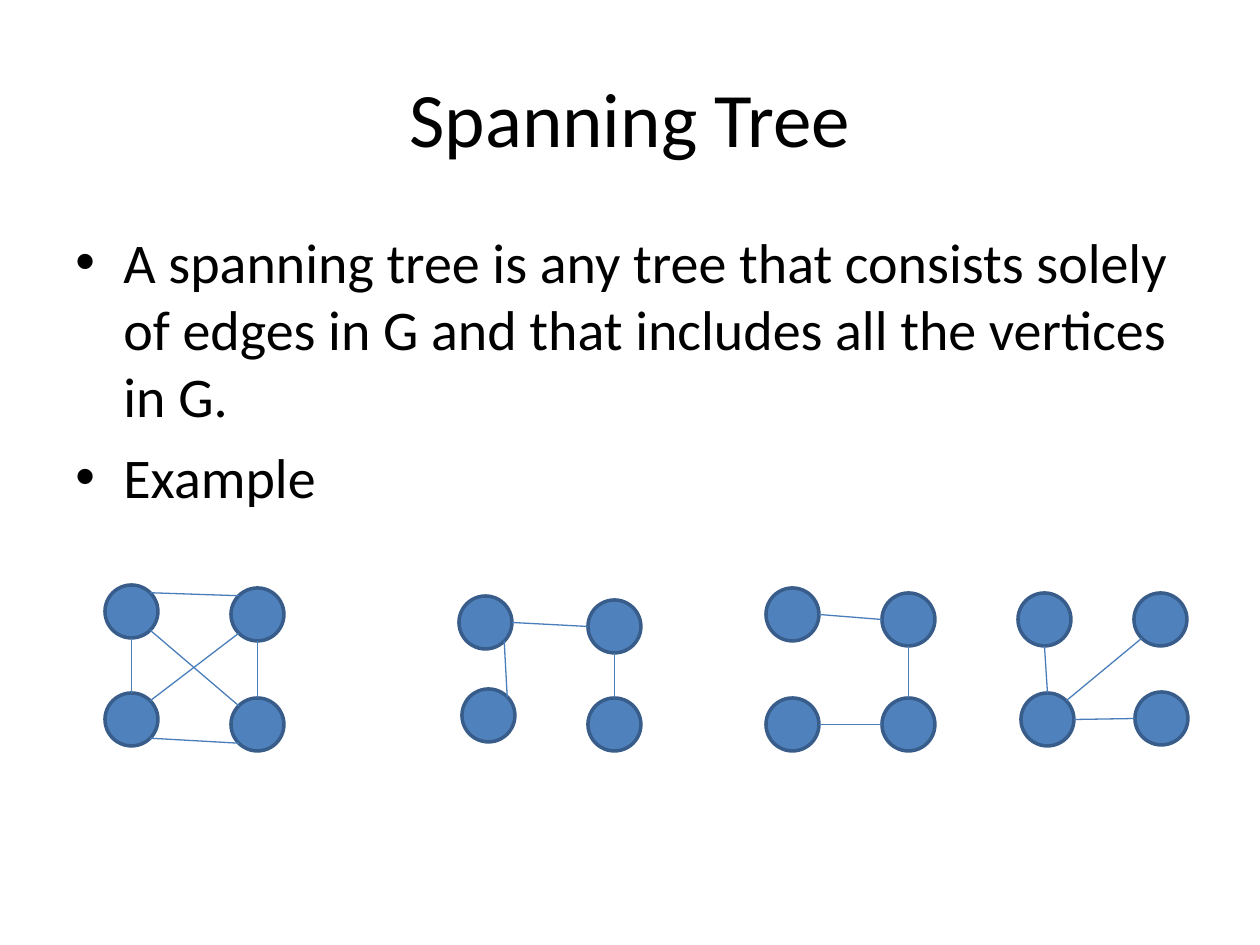
from lxml.etree import SubElement
from pptx import Presentation
from pptx.dml.color import RGBColor
from pptx.enum.shapes import MSO_CONNECTOR as Conn, MSO_SHAPE as Shape
from pptx.enum.text import MSO_ANCHOR as Anchor, PP_ALIGN as Align
from pptx.oxml.ns import qn
from pptx.util import Emu, Pt

TITLE = "Spanning Tree"
POINTS = [
    "A spanning tree is any tree that consists solely of edges in G "
    "and that includes all the vertices in G.",
    "Example",
]
GRAPHS = [
    {
        "nodes": {"a": (105, 585), "b": (231, 588), "c": (105, 693), "d": (231, 698)},
        "edges": ["a s c n", "a ne b nw", "b s d n", "c se d sw", "b sw c ne", "a se d nw"],
    },
    {
        "nodes": {"a": (459, 596), "b": (588, 600), "c": (462, 689), "d": (588, 698)},
        "edges": ["a se c ne", "a e b w", "b s d n"],
    },
    {
        "nodes": {"a": (766, 588), "b": (882, 593), "c": (766, 698), "d": (882, 698)},
        "edges": ["a e b w", "b s d n", "d w c e"],
    },
    {
        "nodes": {"a": (1018, 593), "b": (1134, 593), "c": (1021, 693), "d": (1135, 692)},
        "edges": ["a s c n", "c ne b sw", "c e d w"],
    },
]
COLORS = {"text": "000000", "node": "4F81BD", "rim": "385D8A", "edge": "4A7EBB"}
FONT = "Calibri"
SIZE = 53
DIRS = {"n": (0, -1), "s": (0, 1), "e": (1, 0), "w": (-1, 0)}


def px(num):
    return Emu(round(num * 914400 / 126))


def tint(name):
    return RGBColor.from_string(COLORS[name])


def place(shape, left, top, width, height):
    shape.left, shape.top = px(left), px(top)
    shape.width, shape.height = px(width), px(height)


def write(para, text, size):
    run = para.add_run()
    run.text = text
    run.font.name = FONT
    run.font.size = Pt(size)
    run.font.color.rgb = tint("text")


def bullet(para):
    props = para._p.get_or_add_pPr()
    props.set("marL", str(px(48)))
    props.set("indent", str(-px(48)))
    SubElement(props, qn("a:buFont"), typeface="Arial")
    SubElement(props, qn("a:buChar"), char="•")


def site(corner, side):
    reach = SIZE / 2 / len(side) ** 0.5
    return [px(start + SIZE / 2 + reach * sum(DIRS[way][axis] for way in side))
            for axis, start in enumerate(corner)]


def draw_node(slide, corner):
    node = slide.shapes.add_shape(Shape.OVAL, *map(px, (*corner, SIZE, SIZE)))
    node.shadow.inherit = False
    node.fill.solid()
    node.fill.fore_color.rgb = tint("node")
    node.line.color.rgb = tint("rim")
    node.line.width = Pt(2)


def draw_edge(slide, nodes, edge):
    head, out, tail, into = edge.split()
    line = slide.shapes.add_connector(
        Conn.STRAIGHT, *site(nodes[head], out), *site(nodes[tail], into))
    line.line.color.rgb = tint("edge")
    line.line.width = Pt(0.75)
    SubElement(line._element.spPr, qn("a:effectLst"))


def main():
    deck = Presentation()
    deck.slide_width, deck.slide_height = px(1260), px(945)
    slide = deck.slides.add_slide(deck.slide_layouts[5])

    title = slide.shapes.title
    place(title, 63, 38, 1134, 157)
    title.text_frame.vertical_anchor = Anchor.MIDDLE
    para = title.text_frame.paragraphs[0]
    para.alignment = Align.CENTER
    write(para, TITLE, 44)

    body = slide.shapes.add_textbox(*map(px, (63, 221, 1134, 624))).text_frame
    body.word_wrap = True
    for rank, text in enumerate(POINTS):
        para = body.add_paragraph() if rank else body.paragraphs[0]
        para.space_before = Pt(8 if rank else 0)
        bullet(para)
        write(para, text, 32)

    for graph in GRAPHS:
        for corner in graph["nodes"].values():
            draw_node(slide, corner)
        for edge in graph["edges"]:
            draw_edge(slide, graph["nodes"], edge)

    deck.save("out.pptx")


if __name__ == "__main__":
    main()
